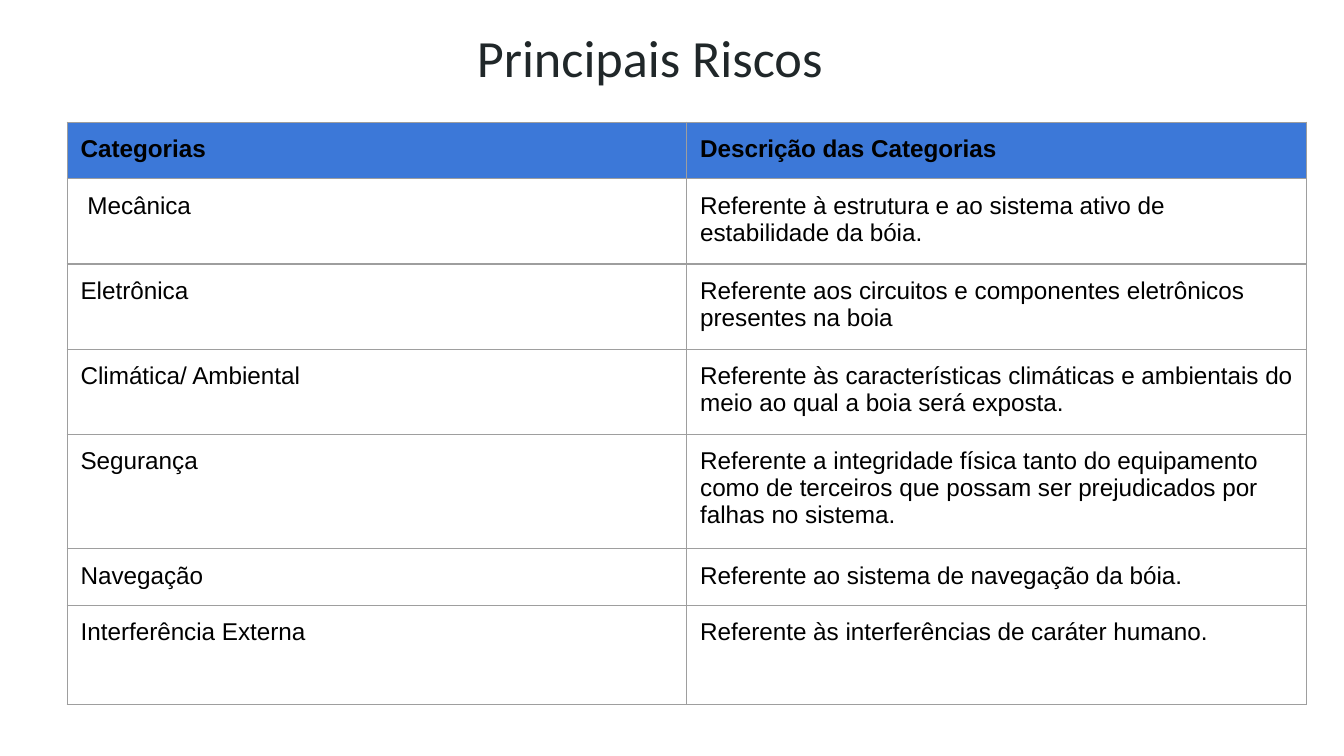
from dataclasses import dataclass

from pptx import Presentation
from pptx.dml.color import RGBColor
from pptx.enum.text import MSO_ANCHOR, PP_ALIGN
from pptx.oxml.xmlchemy import OxmlElement
from pptx.slide import Slide
from pptx.table import _Cell
from pptx.text.text import TextFrame
from pptx.util import Inches, Pt

TOP = MSO_ANCHOR.TOP
LEFT = PP_ALIGN.LEFT
BLANK_LAYOUT = 6


@dataclass(frozen=True)
class Theme:
    title_font: str = "Calibri"
    body_font: str = "Arial"
    title_size: float = 28
    body_size: float = 13
    title_color: str = "202729"
    body_color: str = "000000"
    header_fill: str = "3C78D8"
    border_color: str = "9E9E9E"
    border_width: float = 0.75
    inset: float = 0.1


@dataclass(frozen=True)
class RiskRow:
    category: str
    description: str
    height: float
    header: bool = False


THEME = Theme()
COLUMN_WIDTH = 4.61
ROWS = [
    RiskRow("Categorias", "Descrição das Categorias", 0.42, header=True),
    RiskRow(" Mecânica",
            "Referente à estrutura e ao sistema ativo de estabilidade da bóia.",
            0.63),
    RiskRow("Eletrônica",
            "Referente aos circuitos e componentes eletrônicos presentes na boia",
            0.63),
    RiskRow("Climática/ Ambiental",
            "Referente às características climáticas e ambientais do meio "
            "ao qual a boia será exposta.", 0.63),
    RiskRow("Segurança",
            "Referente a integridade física tanto do equipamento como de "
            "terceiros que possam ser prejudicados por falhas no sistema.", 0.84),
    RiskRow("Navegação", "Referente ao sistema de navegação da bóia.", 0.42),
    RiskRow("Interferência Externa",
            "Referente às interferências de caráter humano.", 0.74),
]


def write_text(frame: TextFrame, text: str, *, font: str, size: float,
               color: str, bold: bool = False) -> None:
    frame.word_wrap = True
    paragraph = frame.paragraphs[0]
    paragraph.alignment = LEFT
    run = paragraph.add_run()
    run.text = text
    run.font.name = font
    run.font.size = Pt(size)
    run.font.bold = bold
    run.font.color.rgb = RGBColor.from_string(color)


def set_insets(target: TextFrame | _Cell) -> None:
    target.margin_left = target.margin_right = Inches(THEME.inset)
    target.margin_top = target.margin_bottom = Inches(THEME.inset)
    target.vertical_anchor = TOP


def set_borders(cell: _Cell) -> None:
    properties = cell._tc.get_or_add_tcPr()
    for position, side in enumerate(("a:lnL", "a:lnR", "a:lnT", "a:lnB")):
        line = OxmlElement(side)
        line.set("w", str(Pt(THEME.border_width)))
        fill = OxmlElement("a:solidFill")
        color = OxmlElement("a:srgbClr")
        color.set("val", THEME.border_color)
        fill.append(color)
        line.append(fill)
        properties.insert(position, line)


def format_cell(cell: _Cell, text: str, *, header: bool) -> None:
    set_insets(cell)
    if header:
        cell.fill.solid()
        cell.fill.fore_color.rgb = RGBColor.from_string(THEME.header_fill)
    else:
        cell.fill.background()
    set_borders(cell)
    write_text(cell.text_frame, text, font=THEME.body_font,
               size=THEME.body_size, color=THEME.body_color, bold=header)


def add_title(slide: Slide, text: str) -> None:
    box = slide.shapes.add_textbox(Inches(3.45), Inches(0.09),
                                   Inches(3.31), Inches(1.09))
    set_insets(box.text_frame)
    write_text(box.text_frame, text, font=THEME.title_font,
               size=THEME.title_size, color=THEME.title_color)


def add_risk_table(slide: Slide, rows: list[RiskRow]) -> None:
    table = slide.shapes.add_table(
        len(rows), 2, Inches(0.5), Inches(0.91), Inches(2 * COLUMN_WIDTH),
        Inches(sum(row.height for row in rows))).table
    table.horz_banding = False
    for column in table.columns:
        column.width = Inches(COLUMN_WIDTH)
    for index, row in enumerate(rows):
        table.rows[index].height = Inches(row.height)
        for column_index, text in enumerate((row.category, row.description)):
            format_cell(table.cell(index, column_index), text, header=row.header)


def main() -> None:
    presentation = Presentation()
    presentation.slide_width = Inches(10)
    presentation.slide_height = Inches(10 * 9 / 16)
    slide = presentation.slides.add_slide(presentation.slide_layouts[BLANK_LAYOUT])
    add_title(slide, "Principais Riscos")
    add_risk_table(slide, ROWS)
    presentation.save("out.pptx")


if __name__ == "__main__":
    main()
